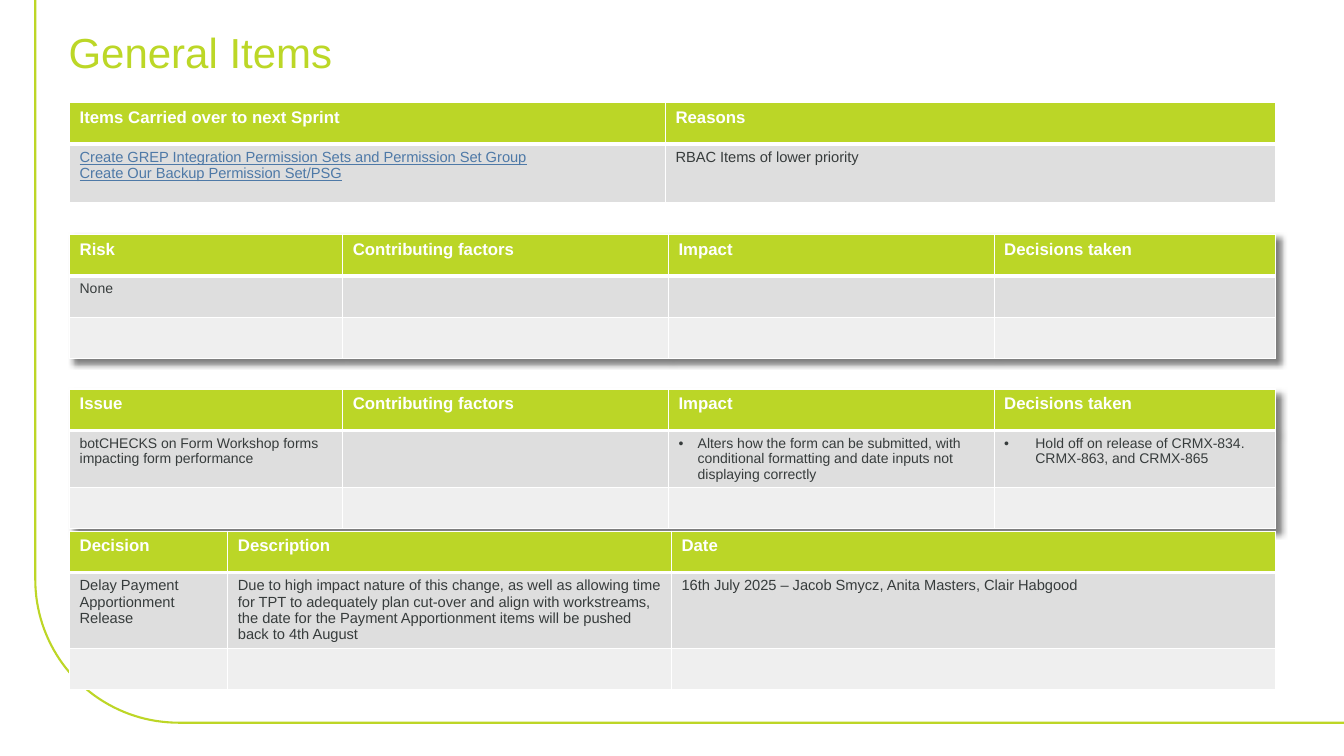
from math import cos, pi, sin
from lxml.etree import SubElement
from pptx import Presentation
from pptx.dml.color import RGBColor
from pptx.enum.text import MSO_ANCHOR, PP_ALIGN
from pptx.oxml import parse_xml
from pptx.oxml.ns import nsdecls, qn
from pptx.util import Inches, Pt


def rgb(value):
    return RGBColor.from_string(value)


def add_text(p, text, size, color, bold=False, underline=False, indent=None):
    r = p.add_run()
    r.text = text
    r.font.name = "Arial"
    r.font.size = Pt(size)
    r.font.bold = bold
    r.font.underline = underline
    r.font.color.rgb = rgb(color)
    if indent:
        pPr = p._p.get_or_add_pPr()
        pPr.set("marL", str(Inches(indent)))
        pPr.set("indent", str(-Inches(indent)))
        SubElement(pPr, qn("a:buFont"), typeface="Arial")
        SubElement(pPr, qn("a:buChar"), char="•")


prs = Presentation()
prs.slide_width = Inches(13.33)
prs.slide_height = Inches(7.5)
s = prs.slides.add_slide(prs.slide_layouts[5])

left, bottom, radius = 0.35, 7.17, 1.42
curve = [
    (left + radius - radius * cos(i * pi / 80), bottom - radius + radius * sin(i * pi / 80))
    for i in range(41)
]
builder = s.shapes.build_freeform(Inches(left), 0, scale=1.0)
builder.add_line_segments(
    [(Inches(x), Inches(y)) for x, y in curve + [(13.33, bottom)]], close=False
)
frame = builder.convert_to_shape()
frame.shadow.inherit = False
frame.fill.background()
frame.line.color.rgb = rgb("BDD626")
frame.line.width = Pt(1.5)

title = s.shapes.title
title.left, title.top, title.width, title.height = map(Inches, (0.68, 0.2, 10.87, 0.63))
tf = title.text_frame
tf.margin_left = tf.margin_right = tf.margin_top = tf.margin_bottom = 0
tf.vertical_anchor = MSO_ANCHOR.MIDDLE
tf.paragraphs[0].alignment = PP_ALIGN.LEFT
add_text(tf.paragraphs[0], "General Items", 30, "BCD727")

log_cols = [2.71, 3.23, 3.23, 2.79]
tables = [
    dict(top=2.33, cols=log_cols, rows=[0.41, 0.41, 0.41], size=10, shadow=True,
         head=["Risk", "Contributing factors", "Impact", "Decisions taken"],
         body=["None", "", "", ""]),
    dict(top=3.86, cols=log_cols, rows=[0.41, 0.56, 0.41], size=10, shadow=True,
         head=["Issue", "Contributing factors", "Impact", "Decisions taken"],
         body=["botCHECKS on Form Workshop forms impacting form performance", "",
               "Alters how the form can be submitted, with conditional formatting "
               "and date inputs not displaying correctly",
               "Hold off on release of CRMX-834. CRMX-863, and CRMX-865"],
         indents={2: 0.19, 3: 0.31}),
    dict(top=1.02, cols=[5.91, 6.05], rows=[0.41, 0.58], size=10.5,
         head=["Items Carried over to next Sprint", "Reasons"],
         body=["Create GREP Integration Permission Sets and Permission Set Group\n"
               "Create Our Backup Permission Set/PSG",
               "RBAC Items of lower priority"],
         linked=[0]),
    dict(top=5.27, cols=[1.57, 4.4, 5.99], rows=[0.41, 0.75, 0.41], size=10.5,
         head=["Decision", "Description", "Date"],
         body=["Delay Payment Apportionment Release",
               "Due to high impact nature of this change, as well as allowing time for TPT "
               "to adequately plan cut-over and align with workstreams, the date for the "
               "Payment Apportionment items will be pushed back to 4th August",
               "16th July 2025 – Jacob Smycz, Anita Masters, Clair Habgood"]),
]
row_fills = ["BBD627", "DEDEDE", "EFEFEF"]

for t in tables:
    cols, rows = t["cols"], t["rows"]
    table = s.shapes.add_table(
        len(rows), len(cols), Inches(0.69), Inches(t["top"]),
        Inches(sum(cols)), Inches(sum(rows)),
    ).table
    for column, width in zip(table.columns, cols):
        column.width = Inches(width)
    if t.get("shadow"):
        table._tbl.tblPr.insert(0, parse_xml(
            f'<a:effectLst {nsdecls("a")}><a:outerShdw blurRad="50800" dist="50800" '
            'dir="2700000" algn="tl" rotWithShape="0"><a:srgbClr val="000000">'
            '<a:alpha val="50000"/></a:srgbClr></a:outerShdw></a:effectLst>'
        ))
    for i, height in enumerate(rows):
        table.rows[i].height = Inches(height)
        texts = [t["head"], t["body"], [""] * len(cols)][i]
        for j, text in enumerate(texts):
            cell = table.cell(i, j)
            cell.fill.solid()
            cell.fill.fore_color.rgb = rgb(row_fills[i])
            for k, side in enumerate(["lnL", "lnR", "lnT", "lnB"]):
                thick = (i == 0 and side == "lnB") or (i == 1 and side == "lnT")
                cell._tc.get_or_add_tcPr().insert(k, parse_xml(
                    f'<a:{side} {nsdecls("a")} w="{Pt(3 if thick else 1)}"><a:solidFill>'
                    f'<a:srgbClr val="FFFFFF"/></a:solidFill></a:{side}>'
                ))
            if not text:
                continue
            tf = cell.text_frame
            linked = i == 1 and j in t.get("linked", [])
            for n, line in enumerate(text.split("\n")):
                p = tf.add_paragraph() if n else tf.paragraphs[0]
                if i == 0:
                    add_text(p, line, 12, "FFFFFF", bold=True)
                else:
                    add_text(p, line, t["size"], "4E79A7" if linked else "373C3C",
                             underline=linked, indent=t.get("indents", {}).get(j))

prs.save("out.pptx")
